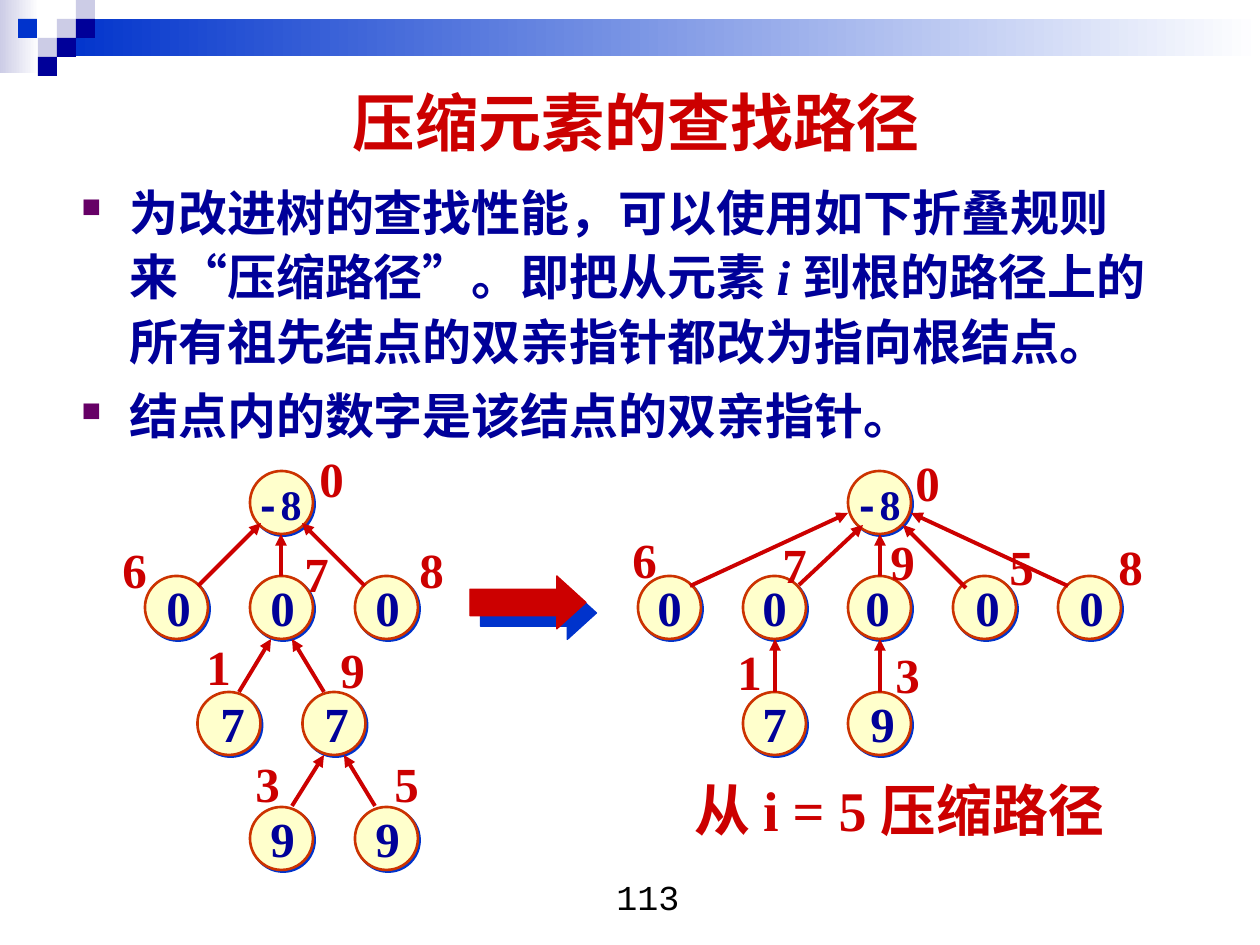
from lxml.etree import SubElement
from pptx import Presentation
from pptx.dml.color import RGBColor
from pptx.enum.shapes import MSO_CONNECTOR, MSO_SHAPE
from pptx.enum.text import MSO_ANCHOR, MSO_AUTO_SIZE, PP_ALIGN
from pptx.oxml.ns import qn
from pptx.util import Emu, Pt

PX_PER_INCH = 126
RED, NAVY, BLUE, LILAC = "CC0000", "000099", "0033CC", "CCCCE6"
SERIF = "Times New Roman"

NODE_SIZE = 63
COLUMN_STEP = 105
ROW_TOPS = [471, 576, 692, 807]

# Each node: column, row, parent number, number x, index, index x, index y
LEFT_TREE = [
    (1, 0, "-8", 243, "0", 307, 442),
    (0, 1, "0", 154, "6", 110, 533),
    (1, 1, "0", 258, "7", 292, 537),
    (2, 1, "0", 363, "8", 407, 533),
    (0.5, 2, "7", 208, "1", 194, 630),
    (1.5, 2, "7", 312, "9", 328, 633),
    (1, 3, "9", 258, "3", 243, 747),
    (2, 3, "9", 363, "5", 382, 747),
]
RIGHT_TREE = [
    (2, 0, "-8", 842, "0", 903, 446),
    (0, 1, "0", 645, "6", 620, 523),
    (1, 1, "0", 750, "7", 770, 528),
    (2, 1, "0", 853, "9", 878, 525),
    (3, 1, "0", 963, "5", 997, 530),
    (4, 1, "0", 1067, "8", 1106, 530),
    (1, 2, "7", 750, "1", 725, 635),
    (2, 2, "9", 858, "3", 883, 638),
]

# Child-to-parent arrows: from x, from y, to x, to y
LEFT_ARROWS = [
    (281, 576, 281, 534), (198, 586, 261, 523), (365, 586, 302, 523),
    (239, 692, 271, 639), (324, 692, 292, 639),
    (292, 806, 324, 755), (375, 806, 344, 755),
]
RIGHT_ARROWS = [
    (690, 586, 848, 513), (799, 585, 863, 525), (880, 576, 880, 534),
    (966, 588, 903, 525), (1068, 586, 911, 513),
    (775, 692, 775, 639), (880, 692, 880, 639),
]


def px(length):
    return Emu(round(length * 914400 / PX_PER_INCH))


def color(value):
    return RGBColor.from_string(value)


def add_block(slide, kind, box, fill, line=None, line_width=1.0):
    block = slide.shapes.add_shape(kind, *map(px, box))
    block.shadow.inherit = False
    if isinstance(fill, tuple):
        block.fill.gradient()
        block.fill.gradient_angle = 0
        for stop, stop_color in zip(block.fill.gradient_stops, fill):
            stop.color.rgb = color(stop_color)
    else:
        block.fill.solid()
        block.fill.fore_color.rgb = color(fill)
    if line:
        block.line.color.rgb = color(line)
        block.line.width = Pt(line_width)
    else:
        block.line.fill.background()
    return block


def add_shadow(block, distance):
    effects = block._element.spPr.find(qn("a:effectLst"))
    shadow = SubElement(effects, qn("a:outerShdw"), dist=str(Pt(distance)),
                        dir="2700000", algn="ctr", rotWithShape="0")
    SubElement(shadow, qn("a:srgbClr"), val=BLUE)


def add_arrow(slide, x1, y1, x2, y2):
    arrow = slide.shapes.add_connector(
        MSO_CONNECTOR.STRAIGHT, *map(px, (x1, y1, x2, y2)))
    arrow.line.color.rgb = color(RED)
    arrow.line.width = Pt(2.25)
    SubElement(arrow.line._get_or_add_ln(), qn("a:tailEnd"), type="triangle")
    SubElement(arrow._element.spPr, qn("a:effectLst"))


def format_font(font, size, name, text_color, bold=True):
    font.size = Pt(size)
    font.name = name
    font.bold = bold
    font.color.rgb = color(text_color)


def add_text(slide, box, text, size, name, text_color, bold=True,
             align=PP_ALIGN.LEFT, wrap=False):
    label = slide.shapes.add_textbox(*map(px, box))
    frame = label.text_frame
    frame.text = text
    frame.word_wrap = wrap
    frame.auto_size = MSO_AUTO_SIZE.NONE if wrap else MSO_AUTO_SIZE.SHAPE_TO_FIT_TEXT
    paragraph = frame.paragraphs[0]
    paragraph.alignment = align
    format_font(paragraph.runs[0].font, size, name, text_color, bold)
    return frame


def add_header(slide):
    add_block(slide, MSO_SHAPE.RECTANGLE, (0, 0, 39, 73), (LILAC, "FFFFFF"))
    add_block(slide, MSO_SHAPE.RECTANGLE, (57, 19, 1203, 37), (BLUE, "FFFFFF"))
    squares = [(57, 19, LILAC), (76, 0, LILAC), (76, 19, NAVY), (38, 38, LILAC),
               (18, 19, BLUE), (57, 38, NAVY), (38, 57, NAVY)]
    for left, top, fill in squares:
        add_block(slide, MSO_SHAPE.RECTANGLE, (left, top, 19, 19), fill)


def add_bullet(paragraph):
    properties = paragraph._p.get_or_add_pPr()
    properties.set("marL", str(px(48)))
    properties.set("indent", str(px(-48)))
    bullet_color = SubElement(properties, qn("a:buClr"))
    SubElement(bullet_color, qn("a:srgbClr"), val="660066")
    SubElement(properties, qn("a:buSzPct"), val="55000")
    SubElement(properties, qn("a:buChar"), char="■")


def add_rules(slide):
    rules = [
        ["为改进树的查找性能，可以使用如下折叠规则来“压缩路径”。即把从元素 ",
         "i ", "到根的路径上的所有祖先结点的双亲指针都改为指向根结点。"],
        ["结点内的数字是该结点的双亲指针。"],
    ]
    frame = slide.shapes.add_textbox(*map(px, (69, 170, 1134, 655))).text_frame
    frame.word_wrap = True
    for number, pieces in enumerate(rules):
        paragraph = frame.add_paragraph() if number else frame.paragraphs[0]
        add_bullet(paragraph)
        paragraph.line_spacing = 1.1
        if number:
            paragraph.space_before = Pt(5.2)
        for piece in pieces:
            run = paragraph.add_run()
            run.text = piece
            format_font(run.font, 28, SERIF, NAVY)
            run.font.italic = piece == "i "


def add_root_number(slide, left, top):
    frame = add_text(slide, (left, top, 71, 63), "-", 24, "Courier New", NAVY)
    digit = frame.paragraphs[0].add_run()
    digit.text = "8"
    format_font(digit.font, 24, SERIF, NAVY)


def add_tree(slide, left, nodes, arrows):
    for column, row, *_ in nodes:
        box = (left + column * COLUMN_STEP, ROW_TOPS[row], NODE_SIZE, NODE_SIZE)
        node = add_block(slide, MSO_SHAPE.OVAL, box, "FFFFCC", "CC3300", 1.5)
        add_shadow(node, 1.4)
    for arrow in arrows:
        add_arrow(slide, *arrow)
    for _, row, number, number_x, index, index_x, index_y in nodes:
        if row == 0:
            add_root_number(slide, number_x, ROW_TOPS[row] + 1)
        else:
            add_text(slide, (number_x, ROW_TOPS[row] - 5, 49, 72), number, 28, SERIF, NAVY)
        add_text(slide, (index_x, index_y, 49, 72), index, 28, SERIF, RED)


def main():
    presentation = Presentation()
    presentation.slide_width, presentation.slide_height = px(1260), px(945)
    slide = presentation.slides.add_slide(presentation.slide_layouts[6])

    # Header band, title and rules
    add_header(slide)
    title = add_text(slide, (69, 60, 1134, 122), "压缩元素的查找路径", 36, "Arial", RED,
                     align=PP_ALIGN.CENTER, wrap=True)
    title.vertical_anchor = MSO_ANCHOR.MIDDLE
    add_rules(slide)

    # Trees before and after compression
    add_tree(slide, 145, LEFT_TREE, LEFT_ARROWS)
    step = add_block(slide, MSO_SHAPE.RIGHT_ARROW, (470, 576, 116, 53), RED, RED, 0.75)
    step.adjustments[1] = 0.55
    add_shadow(step, 8.5)
    add_tree(slide, 638, RIGHT_TREE, RIGHT_ARROWS)
    add_text(slide, (682, 769, 478, 81), "从 i = 5 压缩路径", 32, SERIF, RED)

    # Page number
    add_text(slide, (501, 869, 294, 66), "113", 20, "Courier New", "000000",
             bold=False, align=PP_ALIGN.CENTER, wrap=True)
    presentation.save("out.pptx")


if __name__ == "__main__":
    main()
